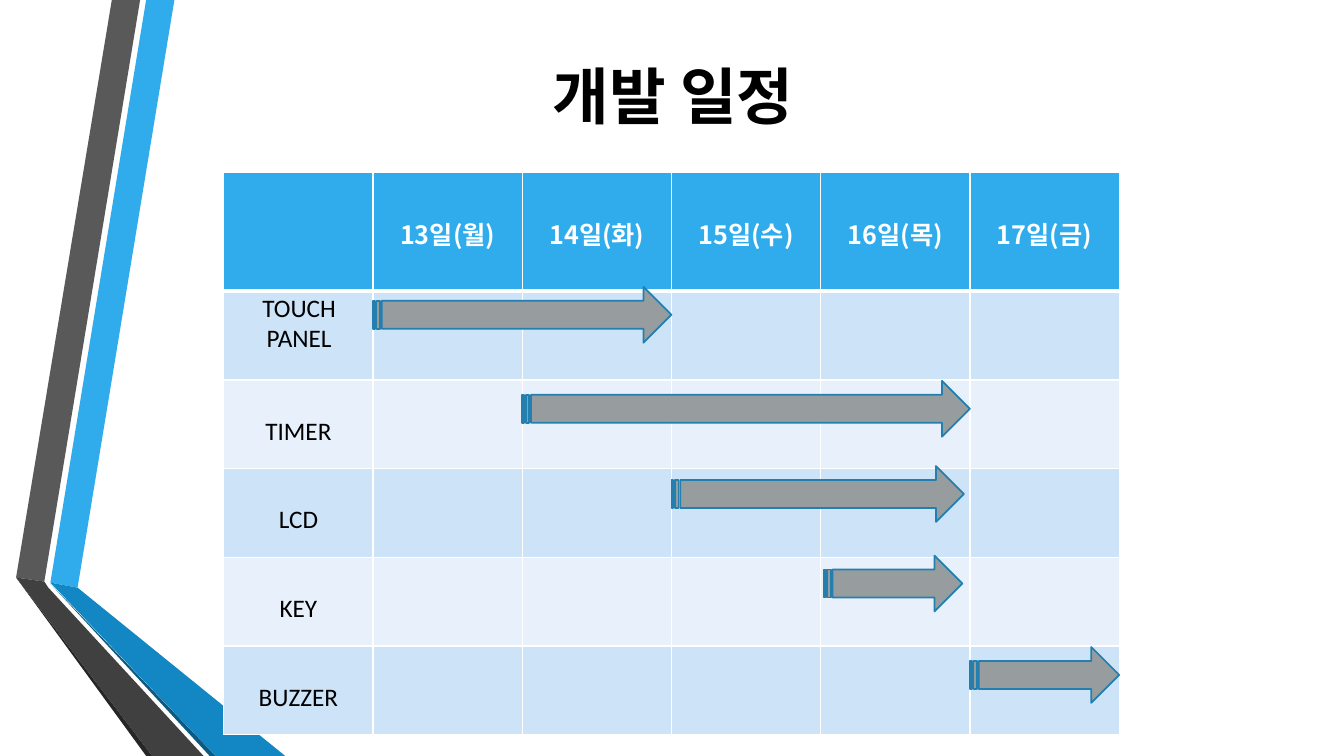
from lxml.etree import SubElement
from pptx import Presentation
from pptx.dml.color import RGBColor
from pptx.enum.shapes import MSO_SHAPE
from pptx.enum.text import MSO_ANCHOR, PP_ALIGN
from pptx.oxml.ns import qn
from pptx.util import Inches, Pt

WIDE, HIGH = Inches(13.33), Inches(7.5)
LEFT, TOP = Inches(2.22), Inches(1.71)
COL, HEAD, ROW = Inches(1.48), Inches(1.18), Inches(0.88)
KOREAN, LATIN = "Noto Sans CJK KR", "Calibri"

BLACK = RGBColor(0, 0, 0)
WHITE = RGBColor(255, 255, 255)
SKY = RGBColor(0x30, 0xAC, 0xEC)
BLUE = RGBColor(0x12, 0x87, 0xC3)
NAVY = RGBColor(0x0C, 0x5A, 0x82)
ASH = RGBColor(0x59, 0x59, 0x59)
COAL = RGBColor(0x40, 0x40, 0x40)
SOOT = RGBColor(0x26, 0x26, 0x26)
PALE = RGBColor(0xE8, 0xF1, 0xFB)
MIST = RGBColor(0xCD, 0xE3, 0xF8)
GRAY = RGBColor(0x97, 0x9D, 0x9F)
EDGE = RGBColor(0x24, 0x7F, 0xAF)

# Corner points are in hundredths of an inch.
BANDS = [
    (SKY, [(50, 578), (77, 583), (173, 0), (145, 0)]),
    (ASH, [(139, 0), (111, 0), (16, 573), (44, 577)]),
    (SOOT, [(16, 573), (145, 750), (151, 750)]),
    (NAVY, [(50, 579), (208, 750), (214, 750)]),
    (BLUE, [(50, 578), (214, 750), (283, 750), (77, 583)]),
    (COAL, [(202, 750), (48, 583), (44, 577), (16, 573), (151, 750)]),
]
DAYS = ["", "13일(월)", "14일(화)", "15일(수)", "16일(목)", "17일(금)"]
TASKS = ["", "TIMER", "LCD", "KEY", "BUZZER"]
SPANS = [(1, 2, -0.05), (2, 3, 0.01), (3, 1.96, -0.03),
         (4.02, 0.93, -0.02), (5, 1, 0.01)]


def style(frame, face, size, color, bold=False):
    """Centre the text of a frame and format its runs."""
    for para in frame.paragraphs:
        para.alignment = PP_ALIGN.CENTER
        for run in para.runs:
            font = run.font
            font.size, font.bold = Pt(size), bold
            font.color.rgb = color
            font.name = face
            SubElement(font._element, qn("a:ea"), typeface=face)


def add_band(slide, color, spots):
    """Draw one filled band of the side ribbon."""
    form = slide.shapes.build_freeform(*spots[0], scale=Inches(0.01))
    form.add_line_segments(spots[1:], close=True)
    band = form.convert_to_shape()
    band.shadow.inherit = False
    band.fill.solid()
    band.fill.fore_color.rgb = color
    band.line.fill.background()


def add_title(slide, text):
    """Place and format the slide title."""
    title = slide.shapes.title
    title.left, title.top = int(WIDE * 0.09), int(HIGH * 0.023)
    title.width, title.height = int(WIDE * 0.822), int(HIGH * 0.205)
    frame = title.text_frame
    frame.text = text
    frame.vertical_anchor = MSO_ANCHOR.MIDDLE
    style(frame, KOREAN, 44, BLACK, True)


def add_edges(cell, row):
    """Give a cell white borders, thick below the header."""
    props = cell._tc.get_or_add_tcPr()
    for side in "LRTB":
        thick = (row, side) in ((0, "B"), (1, "T"))
        line = SubElement(props, qn("a:ln" + side), w=str(Pt(3 if thick else 1)))
        fill = SubElement(line, qn("a:solidFill"))
        SubElement(fill, qn("a:srgbClr"), val=str(WHITE))


def fill_cell(cell, row, text):
    """Write a cell and set its borders, fill and text."""
    add_edges(cell, row)
    cell.fill.solid()
    cell.fill.fore_color.rgb = (MIST if row % 2 else PALE) if row else SKY
    cell.vertical_anchor = MSO_ANCHOR.MIDDLE
    cell.margin_top = Inches(0.19 if row else 0.08)
    if text:
        cell.text_frame.text = text
        look = (LATIN, 18, BLACK) if row else (KOREAN, 18, WHITE, True)
        style(cell.text_frame, *look)


def add_plan(slide):
    """Add the schedule table."""
    rows = [DAYS] + [[task] + [""] * 5 for task in TASKS]
    table = slide.shapes.add_table(
        len(rows), len(DAYS), LEFT, TOP, COL * 6, HEAD + ROW * 5).table
    for col in table.columns:
        col.width = COL
    for row, texts in enumerate(rows):
        table.rows[row].height = ROW if row else HEAD
        for col, text in enumerate(texts):
            fill_cell(table.cell(row, col), row, text)


def add_label(slide, text):
    """Add the two-line label of the first task."""
    box = slide.shapes.add_textbox(
        LEFT + int(COL * 0.135), TOP + HEAD - int(ROW * 0.05),
        int(COL * 0.74), int(ROW * 1.15))
    box.text_frame.word_wrap = True
    box.text_frame.text = text
    style(box.text_frame, LATIN, 18, BLACK)


def add_arrow(slide, row, start, span, drop):
    """Draw the arrow that spans the days of a task."""
    arrow = slide.shapes.add_shape(
        MSO_SHAPE.STRIPED_RIGHT_ARROW, LEFT + int(COL * start),
        TOP + HEAD + int(ROW * (row + drop)), int(COL * span), int(ROW * 0.63))
    arrow.shadow.inherit = False
    arrow.fill.solid()
    arrow.fill.fore_color.rgb = GRAY
    arrow.line.color.rgb = EDGE
    arrow.line.width = Pt(1.25)


def main():
    """Build the slide and save it."""
    deck = Presentation()
    deck.slide_width, deck.slide_height = WIDE, HIGH
    slide = deck.slides.add_slide(deck.slide_layouts[5])
    for color, spots in BANDS:
        add_band(slide, color, spots)
    add_title(slide, "개발 일정")
    add_plan(slide)
    add_label(slide, "TOUCH\nPANEL")
    for row, span in enumerate(SPANS):
        add_arrow(slide, row, *span)
    deck.save("out.pptx")


if __name__ == "__main__":
    main()
